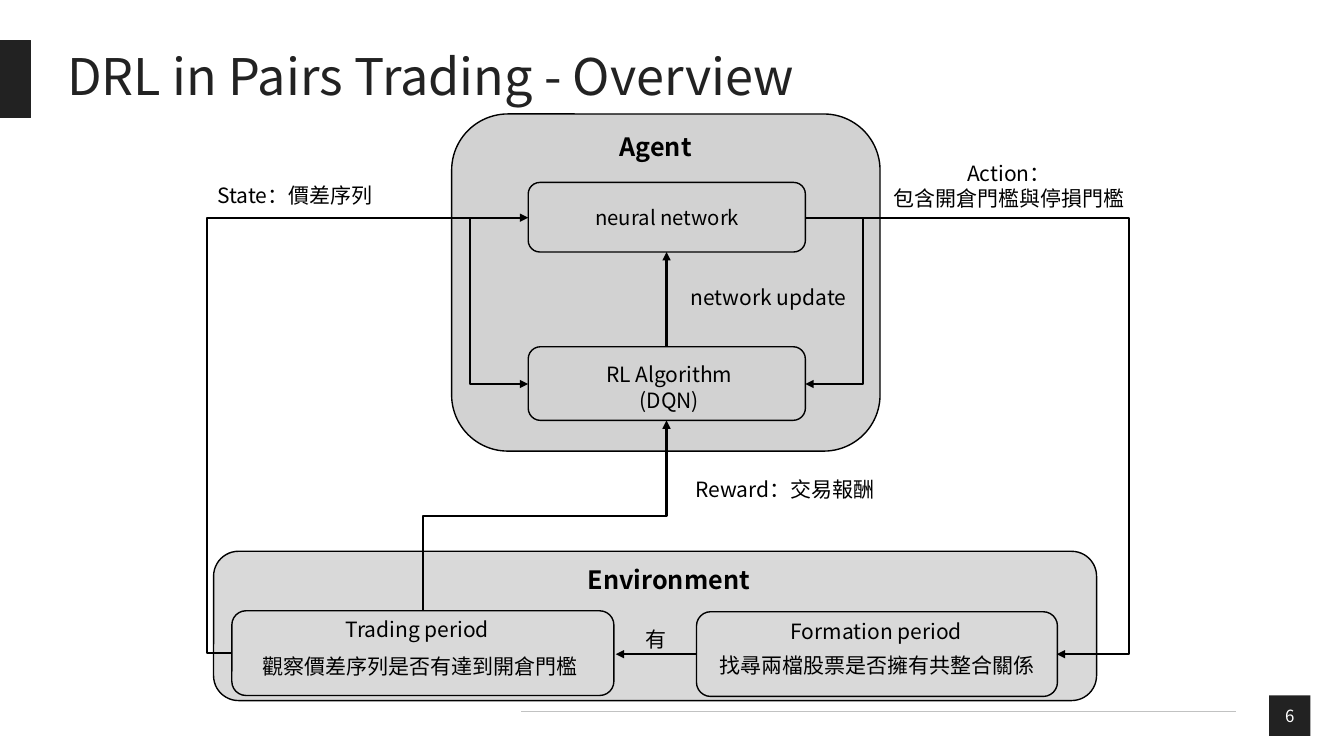
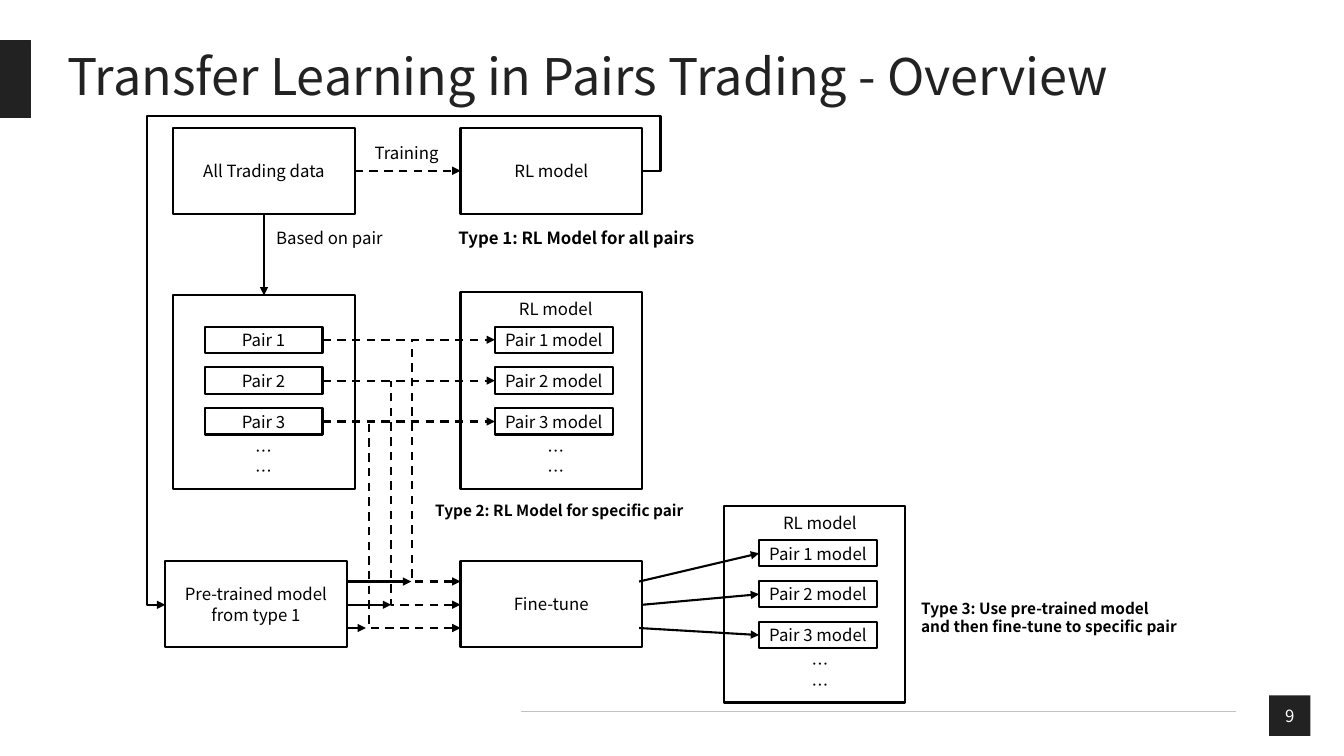
"""Build two overview slides on reinforcement and transfer learning in pairs trading."""
from dataclasses import dataclass

from lxml.etree import SubElement
from pptx import Presentation
from pptx.dml.color import RGBColor
from pptx.enum.dml import MSO_LINE
from pptx.enum.shapes import MSO_CONNECTOR as Connector, MSO_SHAPE as Preset
from pptx.enum.text import MSO_ANCHOR as Anchor, PP_ALIGN as Align
from pptx.oxml.ns import qn
from pptx.util import Pt

COLOURS = {"ink": "222222", "black": "000000", "white": "FFFFFF", "rule": "C1C2C2"}
TITLE_FONT = "Noto Sans CJK TC"
FLOW_FONT = "Noto Sans CJK SC"
PAIR_STEP = 29.2
PAIR_SIZE = (84.2, 18.7)
PAIR_COUNT = 3


@dataclass(frozen=True)
class Area:
    left: float
    top: float
    width: float
    height: float

    def lengths(self) -> tuple:
        return tuple(Pt(value) for value in (self.left, self.top, self.width, self.height))


@dataclass(frozen=True)
class Label:
    text: str
    area: Area
    size: float = 15
    bold: bool = False
    align: Align = Align.CENTER


@dataclass(frozen=True)
class Arrow:
    start: tuple
    end: tuple
    dashed: bool = False
    preset: str = ""
    adjust: tuple = ()
    turned: bool = False
    tip: str = "tailEnd"


@dataclass(frozen=True)
class PairColumn:
    frame: Area
    left: float
    top: float
    suffix: str = ""
    dots_shift: float = 0
    heading: str = ""

    def centre(self, index: int) -> float:
        return self.top + index * PAIR_STEP + PAIR_SIZE[1] / 2


def colour(name: str) -> RGBColor:
    return RGBColor.from_string(COLOURS[name])


def write(box, text: str, *, size: float, font: str, ink: str = "black", bold: bool = False,
          align: Align = Align.CENTER, anchor: Anchor = Anchor.TOP,
          spacing: float | None = None) -> None:
    frame = box.text_frame
    frame.word_wrap = True
    frame.vertical_anchor = anchor
    for index, line in enumerate(text.split("\n")):
        para = frame.add_paragraph() if index else frame.paragraphs[0]
        para.alignment = align
        if spacing:
            para.line_spacing = spacing
        span = para.add_run()
        span.text = line
        span.font.size = Pt(size)
        span.font.bold = bold
        span.font.name = font
        span.font.color.rgb = colour(ink)
        SubElement(span.font._element, qn("a:ea"), typeface=font)


def add_label(page, label: Label, font: str) -> None:
    box = page.shapes.add_textbox(*label.area.lengths())
    write(box, label.text, size=label.size, font=font, bold=label.bold, align=label.align)


def add_box(page, area: Area, *, preset=Preset.RECTANGLE, fill: str = "", opacity: int = 100,
            line: str = "black", weight: float = 1.5):
    box = page.shapes.add_shape(preset, *area.lengths())
    box.shadow.inherit = False
    if fill:
        box.fill.solid()
        box.fill.fore_color.rgb = colour(fill)
        if opacity < 100:
            tint = box._element.spPr.find(qn("a:solidFill"))[0]
            SubElement(tint, qn("a:alpha"), val=str(opacity * 1000))
    else:
        box.fill.background()
    if line:
        box.line.color.rgb = colour(line)
        box.line.width = Pt(weight)
    else:
        box.line.fill.background()
    return box


def add_step(page, text: str, area: Area) -> None:
    box = add_box(page, area)
    frame = box.text_frame
    frame.margin_left = frame.margin_right = Pt(6.5)
    frame.margin_top = frame.margin_bottom = Pt(2.9)
    write(box, text, size=12, font=FLOW_FONT, anchor=Anchor.MIDDLE)


def add_line(page, start: tuple, end: tuple, *, kind=Connector.STRAIGHT,
             ink: str = "black", weight: float = 1.5):
    line = page.shapes.add_connector(kind, *(Pt(value) for value in (*start, *end)))
    line.line.color.rgb = colour(ink)
    line.line.width = Pt(weight)
    SubElement(line._element.spPr, qn("a:effectLst"))
    return line


def add_arrow(page, arrow: Arrow) -> None:
    (x1, y1), (x2, y2) = arrow.start, arrow.end
    if arrow.turned:
        middle_x, middle_y = (x1 + x2) / 2, (y1 + y2) / 2
        half_width, half_height = (y1 - y2) / 2, (x2 - x1) / 2
        x1, x2 = middle_x - half_width, middle_x + half_width
        y1, y2 = middle_y - half_height, middle_y + half_height
    kind = Connector.ELBOW if arrow.preset else Connector.STRAIGHT
    line = add_line(page, (x1, y1), (x2, y2), kind=kind)
    if arrow.dashed:
        line.line.dash_style = MSO_LINE.DASH
    properties = line._element.spPr
    SubElement(properties.find(qn("a:ln")), qn(f"a:{arrow.tip}"), type="triangle")
    if arrow.turned:
        properties.find(qn("a:xfrm")).set("rot", "16200000")
    if arrow.preset:
        geometry = properties.find(qn("a:prstGeom"))
        geometry.set("prst", arrow.preset)
        guides = geometry.find(qn("a:avLst"))
        for number, value in enumerate(arrow.adjust, 1):
            SubElement(guides, qn("a:gd"), name=f"adj{number}", fmla=f"val {round(value * 100000)}")


def add_page(deck, title: str, number: int):
    page = deck.slides.add_slide(deck.slide_layouts[6])
    add_box(page, Area(0, 28.8, 21.9, 55.4), fill="ink", line="ink", weight=1)
    add_line(page, (372.2, 508.3), (882.7, 508.3), ink="rule", weight=0.75)
    heading = page.shapes.add_textbox(*Area(41, 28.8, 864.7, 55.4).lengths())
    write(heading, title, size=36, font=TITLE_FONT, ink="ink", align=Align.LEFT,
          anchor=Anchor.MIDDLE, spacing=0.9)
    badge = add_box(page, Area(906.5, 496.8, 29.5, 28.8), fill="ink", line="")
    write(badge, str(number), size=12, font=TITLE_FONT, ink="white", anchor=Anchor.MIDDLE)
    return page


def add_pair_column(page, column: PairColumn) -> None:
    add_box(page, column.frame)
    width, height = PAIR_SIZE
    for index in range(PAIR_COUNT):
        area = Area(column.left, column.top + index * PAIR_STEP, width, height)
        add_step(page, f"Pair {index + 1}{column.suffix}", area)
    left = column.left + column.dots_shift
    add_label(page, Label("…\n…", Area(left, column.top + 77.8, width, 36), 12), FLOW_FONT)
    if column.heading:
        area = Area(left, column.top - 23.1, width, 21.6)
        add_label(page, Label(column.heading, area, 12), FLOW_FONT)


def build_agent_page(deck) -> None:
    page = add_page(deck, "DRL in Pairs Trading - Overview", 6)
    groups = ((Area(152.6, 393.8, 630.7, 106.6), 17), (Area(322.6, 81.4, 306, 240.8), 20))
    for area, opacity in groups:
        add_box(page, area, preset=Preset.ROUNDED_RECTANGLE, fill="ink", opacity=opacity, weight=1)
    nodes = (
        Area(377.3, 130.3, 198, 49.7),
        Area(377.3, 247.7, 198, 52.6),
        Area(497.5, 437, 257.8, 60.5),
        Area(165.6, 436.3, 272.9, 60.5),
    )
    for area in nodes:
        add_box(page, area, preset=Preset.ROUNDED_RECTANGLE, weight=1)
    labels = (
        Label("Agent", Area(367.9, 90, 200.9, 28.8), 18, True),
        Label("Environment", Area(353.5, 399.6, 248.4, 28.8), 18, True),
        Label("neural network", Area(365, 143.3, 223.2, 25.2), 14.5),
        Label("RL Algorithm\n(DQN)", Area(381.6, 254.9, 193, 43.9)),
        Label("network update", Area(475.9, 199.4, 146.2, 25.2)),
        Label("Formation period", Area(480.2, 438.5, 291.6, 25.2)),
        Label("找尋兩檔股票是否擁有共整合關係", Area(492.5, 462.2, 268.6, 25.2)),
        Label("Trading period", Area(164.9, 437, 266.4, 25.2)),
        Label("觀察價差序列是否有達到開倉門檻", Area(159.8, 463, 280.8, 25.2)),
        Label("有", Area(448.6, 444.2, 39.5, 25.2)),
        Label("Reward：交易報酬", Area(489.6, 337, 259.2, 25.2), align=Align.LEFT),
        Label("State：價差序列", Area(136.2, 126.7, 148.9, 25.2)),
        Label("Action：\n包含開倉門檻與停損門檻", Area(627.1, 110.9, 187.2, 43.9)),
    )
    for label in labels:
        add_label(page, label, TITLE_FONT)
    arrows = (
        Arrow((476.1, 247.7), (476.1, 180)),
        Arrow((497.5, 467.3), (439.9, 467.3)),
        Arrow((302.4, 436.3), (476.1, 300.3), preset="bentConnector3", adjust=(0.5,), turned=True),
        Arrow((165.6, 466.6), (377.3, 155.5), preset="bentConnector3", adjust=(-0.085,)),
        Arrow((575.3, 155.5), (754.9, 467.3), preset="bentConnector3", adjust=(1.286,)),
        Arrow((377.3, 274.3), (335.5, 155.5), preset="bentConnector2", tip="headEnd"),
        Arrow((575.3, 274.3), (616.6, 155.5), preset="bentConnector2", tip="headEnd"),
    )
    for arrow in arrows:
        add_arrow(page, arrow)


def build_transfer_page(deck) -> None:
    page = add_page(deck, "Transfer Learning in Pairs Trading - Overview", 9)
    steps = (
        ("All Trading data", 123.8, 91.4),
        ("RL model", 329, 91.4),
        ("Pre-trained model\nfrom type 1", 118.1, 401),
        ("Fine-tune", 329, 401),
    )
    for text, left, top in steps:
        add_step(page, text, Area(left, top, 129.6, 61.2))
    pairs = PairColumn(Area(123.8, 211, 129.6, 138.2), 146.2, 233.3)
    models = PairColumn(Area(329, 208.8, 129.6, 140.4), 353.5, 233.3, " model", 1.4, "RL model")
    tuned = PairColumn(Area(517, 361.4, 129.6, 140.4), 542.2, 385.9, " model", 1.4, "RL model")
    for column in (pairs, models, tuned):
        add_pair_column(page, column)
    labels = (
        Label("Training", Area(260.6, 98.6, 64.8, 21.6), 12, align=Align.LEFT),
        Label("Based on pair", Area(190.1, 159.1, 101.5, 21.6), 12, align=Align.LEFT),
        Label("Type 1: RL Model for all pairs", Area(320.4, 159.1, 196.6, 21.6), 12, True, Align.LEFT),
        Label("Type 2: RL Model for specific pair", Area(303.8, 354.2, 233.3, 20.9), 11, True,
              Align.LEFT),
        Label("Type 3: Use pre-trained model and then fine-tune to specific pair",
              Area(650.9, 424.1, 199.4, 33.8), 11, True, Align.LEFT),
    )
    for label in labels:
        add_label(page, label, FLOW_FONT)
    arrows = [
        Arrow((253.4, 122), (329, 122), dashed=True),
        Arrow((188.6, 152.6), (188.6, 211)),
        Arrow((458.6, 122), (118.1, 432), preset="bentConnector5", adjust=(-0.039, -0.126, 1.039)),
    ]
    lanes = ((293.8, 294.5, 456.5), (279.4, 279.4, 458.6), (261.4, 263.5, 456.5))
    for index, (tip_x, drop_x, exit_x) in enumerate(lanes):
        lane_y = 415.4 + index * 16.6
        pair_y = pairs.centre(index)
        arrows += [
            Arrow((247.7, lane_y), (tip_x, lane_y)),
            Arrow((230.4, pair_y), (353.5, pair_y), dashed=True),
            Arrow((329, lane_y), (drop_x, pair_y), dashed=True, preset="bentConnector2",
                  tip="headEnd"),
            Arrow((exit_x, lane_y), (tuned.left, tuned.centre(index))),
        ]
    for arrow in arrows:
        add_arrow(page, arrow)


def main() -> None:
    deck = Presentation()
    deck.slide_width, deck.slide_height = Pt(960), Pt(540)
    build_agent_page(deck)
    build_transfer_page(deck)
    deck.save("out.pptx")


if __name__ == "__main__":
    main()
